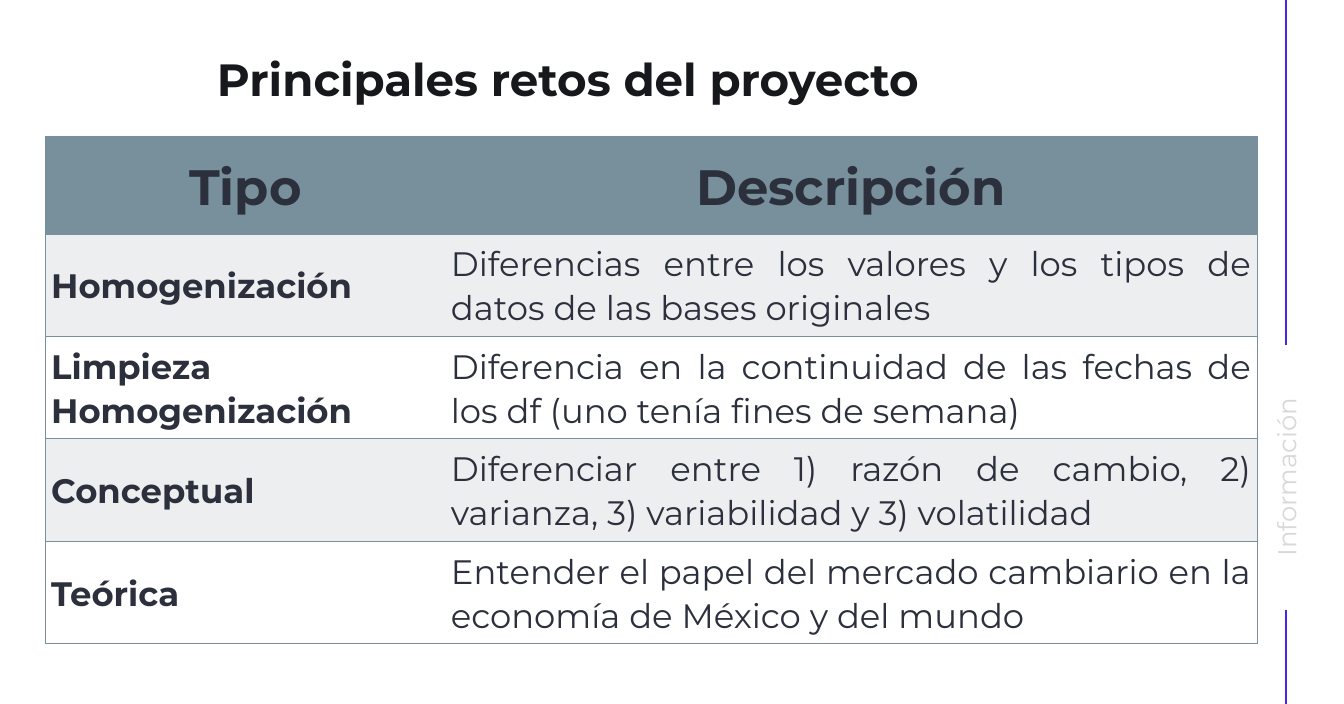
from lxml.etree import SubElement
from pptx import Presentation
from pptx.dml.color import RGBColor
from pptx.enum.shapes import MSO_CONNECTOR
from pptx.enum.text import MSO_ANCHOR, PP_ALIGN
from pptx.oxml.ns import qn
from pptx.util import Inches, Pt

FONT = "Montserrat"
SLATE = "78909C"
INK = "2B303C"
BAND_FILLS = ("ECEEEF", "FFFFFF")
HEADER = ("Tipo", "Descripción")
CHALLENGES = (
    ("Homogenización",
     "Diferencias entre los valores y los tipos de datos de las bases originales"),
    ("Limpieza Homogenización",
     "Diferencia en la continuidad de las fechas de los df (uno tenía fines de semana)"),
    ("Conceptual",
     "Diferenciar entre 1) razón de cambio, 2) varianza, 3) variabilidad y 3) volatilidad"),
    ("Teórica",
     "Entender el papel del mercado cambiario en la economía de México y del mundo"),
)


def color(value):
    return RGBColor.from_string(value)


class SlideBuilder:
    """Draws styled elements on one slide."""

    def __init__(self, slide):
        self.slide = slide

    def style_text(self, text_frame, text, size, fill, bold=False,
                   align=PP_ALIGN.LEFT, spacing=None):
        text_frame.word_wrap = True
        text_frame.text = text
        paragraph = text_frame.paragraphs[0]
        paragraph.alignment = align
        paragraph.line_spacing = spacing
        font = paragraph.runs[0].font
        font.name = FONT
        font.size = Pt(size)
        font.bold = bold
        font.color.rgb = color(fill)

    def text(self, box, text, size, fill, anchor=MSO_ANCHOR.TOP, rotation=0, **style):
        shape = self.slide.shapes.add_textbox(*map(Inches, box))
        shape.rotation = rotation
        frame = shape.text_frame
        frame.margin_left = frame.margin_right = Inches(0.16)
        frame.margin_top = frame.margin_bottom = Inches(0.16)
        frame.vertical_anchor = anchor
        self.style_text(frame, text, size, fill, **style)

    def vertical_line(self, x, top, bottom, fill, width):
        line = self.slide.shapes.add_connector(
            MSO_CONNECTOR.STRAIGHT, Inches(x), Inches(top), Inches(x), Inches(bottom))
        line.line.color.rgb = color(fill)
        line.line.width = Pt(width)
        SubElement(line._element.spPr, qn("a:effectLst"))

    def cell_borders(self, cell, hidden_side):
        """Outline a cell on every side except the inner one."""
        properties = cell._tc.get_or_add_tcPr()
        for side in ("lnL", "lnR", "lnT", "lnB"):
            border = SubElement(properties, qn(f"a:{side}"), w=str(Pt(1)))
            if side == hidden_side:
                SubElement(border, qn("a:noFill"))
            else:
                solid = SubElement(border, qn("a:solidFill"))
                SubElement(solid, qn("a:srgbClr"), val=SLATE)

    def cell(self, cell, text, fill, hidden_side, **style):
        self.cell_borders(cell, hidden_side)
        cell.fill.solid()
        cell.fill.fore_color.rgb = color(fill)
        cell.margin_left = cell.margin_right = Inches(0.07)
        cell.margin_top = cell.margin_bottom = 0
        cell.vertical_anchor = MSO_ANCHOR.MIDDLE
        self.style_text(cell.text_frame, text, fill=INK, spacing=1.07, **style)

    def table(self, left, top, widths, heights, rows):
        table = self.slide.shapes.add_table(
            len(rows), len(widths), Inches(left), Inches(top),
            Inches(sum(widths)), Inches(sum(heights))).table
        table.first_row = table.horz_banding = False
        for column, width in zip(table.columns, widths):
            column.width = Inches(width)
        for row, height in zip(table.rows, heights):
            row.height = Inches(height)
        for row_index, values in enumerate(rows):
            is_header = row_index == 0
            fill = SLATE if is_header else BAND_FILLS[(row_index - 1) % 2]
            for column_index, value in enumerate(values):
                is_type = column_index == 0
                self.cell(table.cell(row_index, column_index), value, fill,
                          hidden_side="lnR" if is_type else "lnL",
                          size=44 if is_header else 30,
                          bold=is_header or is_type,
                          align=PP_ALIGN.CENTER if is_header else PP_ALIGN.JUSTIFY)


def main():
    presentation = Presentation()
    presentation.slide_width = Inches(16.54)
    presentation.slide_height = Inches(8.66)
    builder = SlideBuilder(presentation.slides.add_slide(presentation.slide_layouts[6]))

    builder.text((2.51, 0.58, 10.76, 0.78), "Principales retos del proyecto", 40,
                 "16181C", anchor=MSO_ANCHOR.MIDDLE, bold=True)
    for top, bottom in ((0, 4.24), (7.5, 8.66)):
        builder.vertical_line(15.83, top, bottom, "4B22F4", 1.5)
    builder.text((14.19, 5.51, 3.29, 0.72), "Información", 23, "D8D8D8",
                 rotation=270, align=PP_ALIGN.CENTER)
    builder.table(0.56, 1.68, (4.92, 9.99), (1.2,) + (1.26,) * len(CHALLENGES),
                  (HEADER,) + CHALLENGES)
    presentation.save("out.pptx")


if __name__ == "__main__":
    main()
